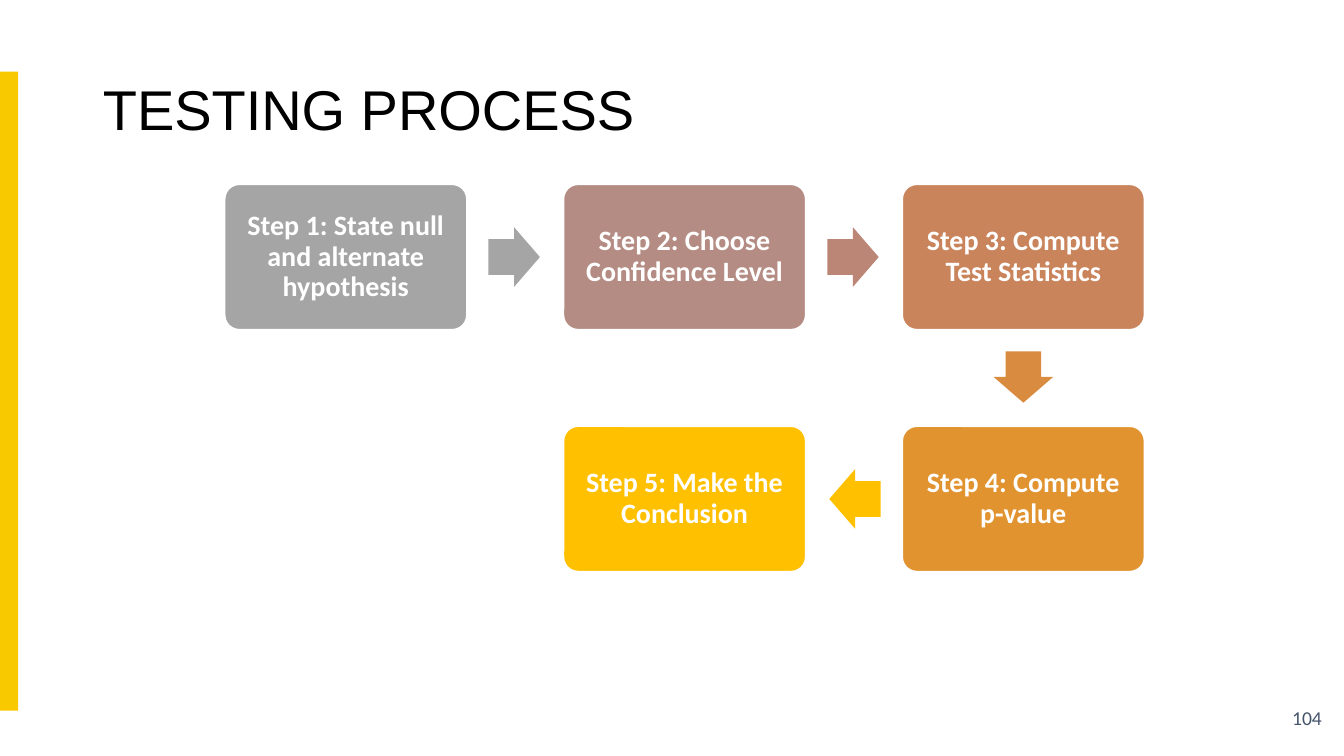
from dataclasses import dataclass
from math import atan2, degrees

from pptx import Presentation
from pptx.dml.color import RGBColor
from pptx.enum.shapes import MSO_SHAPE
from pptx.enum.text import MSO_ANCHOR, PP_ALIGN
from pptx.util import Inches, Pt

TITLE = "TESTING PROCESS"
PAGE_NUMBER = "104"
# text, column, row, box colour, colour of the arrow leading to the box
STEPS = [
    ("Step 1: State null and alternate hypothesis", 0, 0, "A5A5A5", None),
    ("Step 2: Choose Confidence Level", 1, 0, "B48C83", "A5A5A5"),
    ("Step 3: Compute Test Statistics", 2, 0, "C9845C", "BB8676"),
    ("Step 4: Compute p-value", 2, 1, "E19330", "D98B3F"),
    ("Step 5: Make the Conclusion", 1, 1, "FFC000", "FFC000"),
]


@dataclass(frozen=True)
class Theme:
    accent: str = "F9C900"
    title: str = "000000"
    number: str = "44546A"
    light: str = "FFFFFF"
    heading_font: str = "Arial"
    body_font: str = "Calibri"
    title_size: int = 40
    step_size: int = 20
    number_size: int = 14


THEME = Theme()
GRID_LEFT, GRID_TOP = 2.23, 1.83
BOX_WIDTH, BOX_HEIGHT = 2.4, 1.44
COLUMN_PITCH, ROW_PITCH = 3.36, 2.4
ARROW_LENGTH, ARROW_WIDTH = 0.51, 0.59
ARROW_SETBACK = 0.01


def write(shape, text, *, font, size, color, bold=False, align=PP_ALIGN.LEFT,
          anchor=MSO_ANCHOR.MIDDLE, spacing=None, inset=None):
    frame = shape.text_frame
    frame.word_wrap = True
    frame.vertical_anchor = anchor
    if inset is not None:
        frame.margin_left = frame.margin_right = Inches(inset)
        frame.margin_top = frame.margin_bottom = Inches(inset)
    paragraph = frame.paragraphs[0]
    paragraph.text = text
    paragraph.alignment = align
    paragraph.line_spacing = spacing
    paragraph.font.name = font
    paragraph.font.size = Pt(size)
    paragraph.font.bold = bold
    paragraph.font.color.rgb = RGBColor.from_string(color)


def add_filled(slide, kind, left, top, width, height, fill, line=None):
    shape = slide.shapes.add_shape(
        kind, Inches(left), Inches(top), Inches(width), Inches(height))
    shape.shadow.inherit = False
    shape.fill.solid()
    shape.fill.fore_color.rgb = RGBColor.from_string(fill)
    if line:
        shape.line.color.rgb = RGBColor.from_string(line)
        shape.line.width = Pt(1)
    else:
        shape.line.fill.background()
    return shape


def box_center(column, row):
    return (GRID_LEFT + column * COLUMN_PITCH + BOX_WIDTH / 2,
            GRID_TOP + row * ROW_PITCH + BOX_HEIGHT / 2)


def add_step(slide, text, column, row, color):
    x, y = box_center(column, row)
    box = add_filled(slide, MSO_SHAPE.ROUNDED_RECTANGLE, x - BOX_WIDTH / 2,
                     y - BOX_HEIGHT / 2, BOX_WIDTH, BOX_HEIGHT, color, THEME.light)
    box.adjustments[0] = 0.1
    write(box, text, font=THEME.body_font, size=THEME.step_size, color=THEME.light,
          bold=True, align=PP_ALIGN.CENTER, spacing=0.9, inset=0.12)


def add_arrow(slide, start, end, color):
    """Place a block arrow between two (column, row) cells, pointing at end."""
    (x1, y1), (x2, y2) = box_center(*start), box_center(*end)
    across, down = end[0] - start[0], end[1] - start[1]
    x = (x1 + x2) / 2 - across * ARROW_SETBACK
    y = (y1 + y2) / 2 - down * ARROW_SETBACK
    arrow = add_filled(slide, MSO_SHAPE.RIGHT_ARROW, x - ARROW_LENGTH / 2,
                       y - ARROW_WIDTH / 2, ARROW_LENGTH, ARROW_WIDTH, color)
    arrow.adjustments[0] = 0.6
    arrow.adjustments[1] = 0.5
    arrow.rotation = degrees(atan2(down, across))


def main():
    presentation = Presentation()
    presentation.slide_width, presentation.slide_height = Inches(13.33), Inches(7.5)
    slide = presentation.slides.add_slide(presentation.slide_layouts[5])

    add_filled(slide, MSO_SHAPE.RECTANGLE, 0, 0.71, 0.18, 6.34, THEME.accent)

    title = slide.shapes.title
    title.left, title.top = Inches(0.92), Inches(0.76)
    title.width, title.height = Inches(11.5), Inches(1.45)
    write(title, TITLE, font=THEME.heading_font, size=THEME.title_size,
          color=THEME.title, anchor=MSO_ANCHOR.TOP, spacing=0.9)

    number = slide.shapes.add_textbox(Inches(10.21), Inches(6.92), Inches(3), Inches(0.4))
    write(number, PAGE_NUMBER, font=THEME.body_font, size=THEME.number_size,
          color=THEME.number, align=PP_ALIGN.RIGHT)

    previous = None
    for text, column, row, color, arrow_color in STEPS:
        if previous is not None:
            add_arrow(slide, previous, (column, row), arrow_color)
        add_step(slide, text, column, row, color)
        previous = (column, row)

    presentation.save("out.pptx")


if __name__ == "__main__":
    main()
